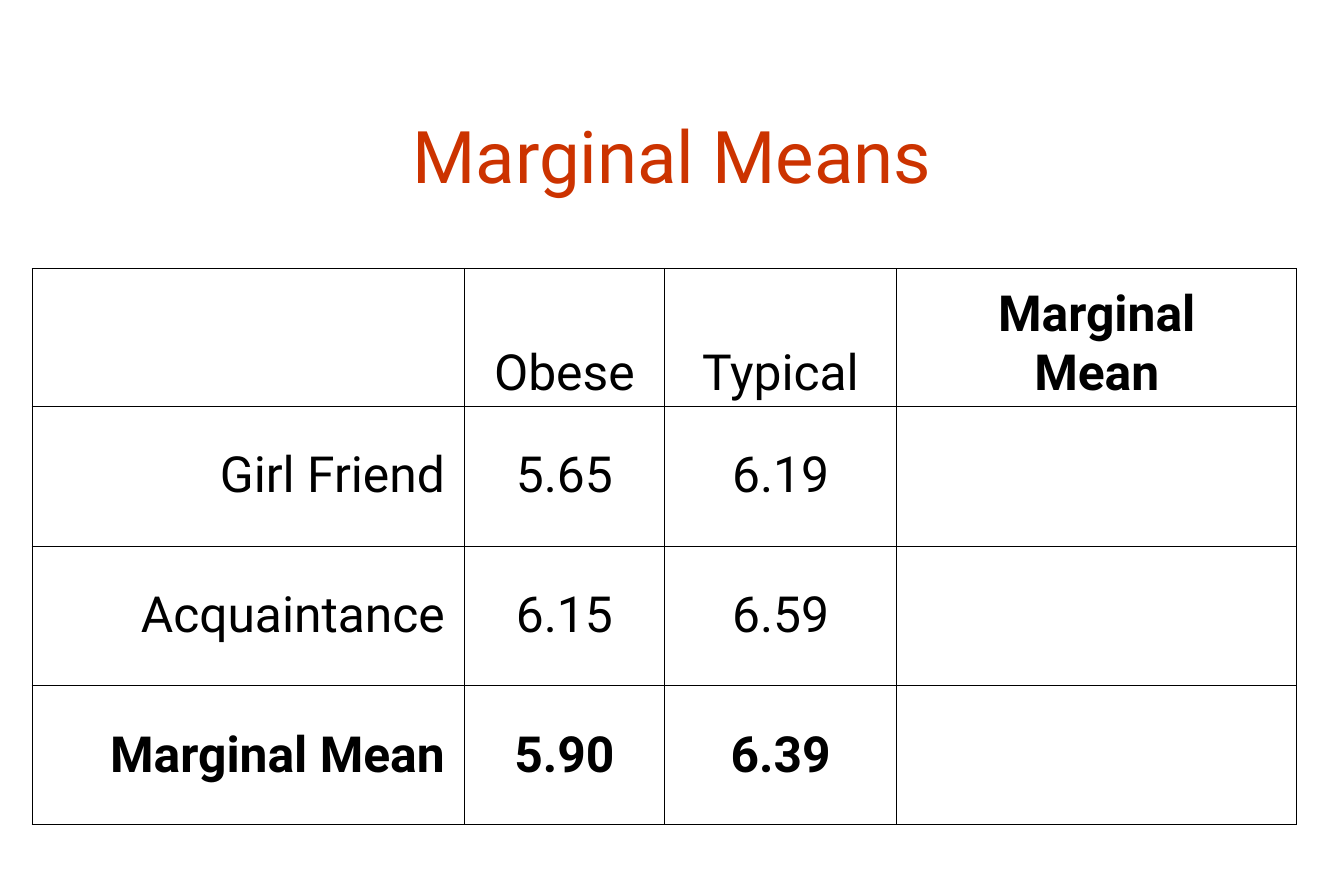
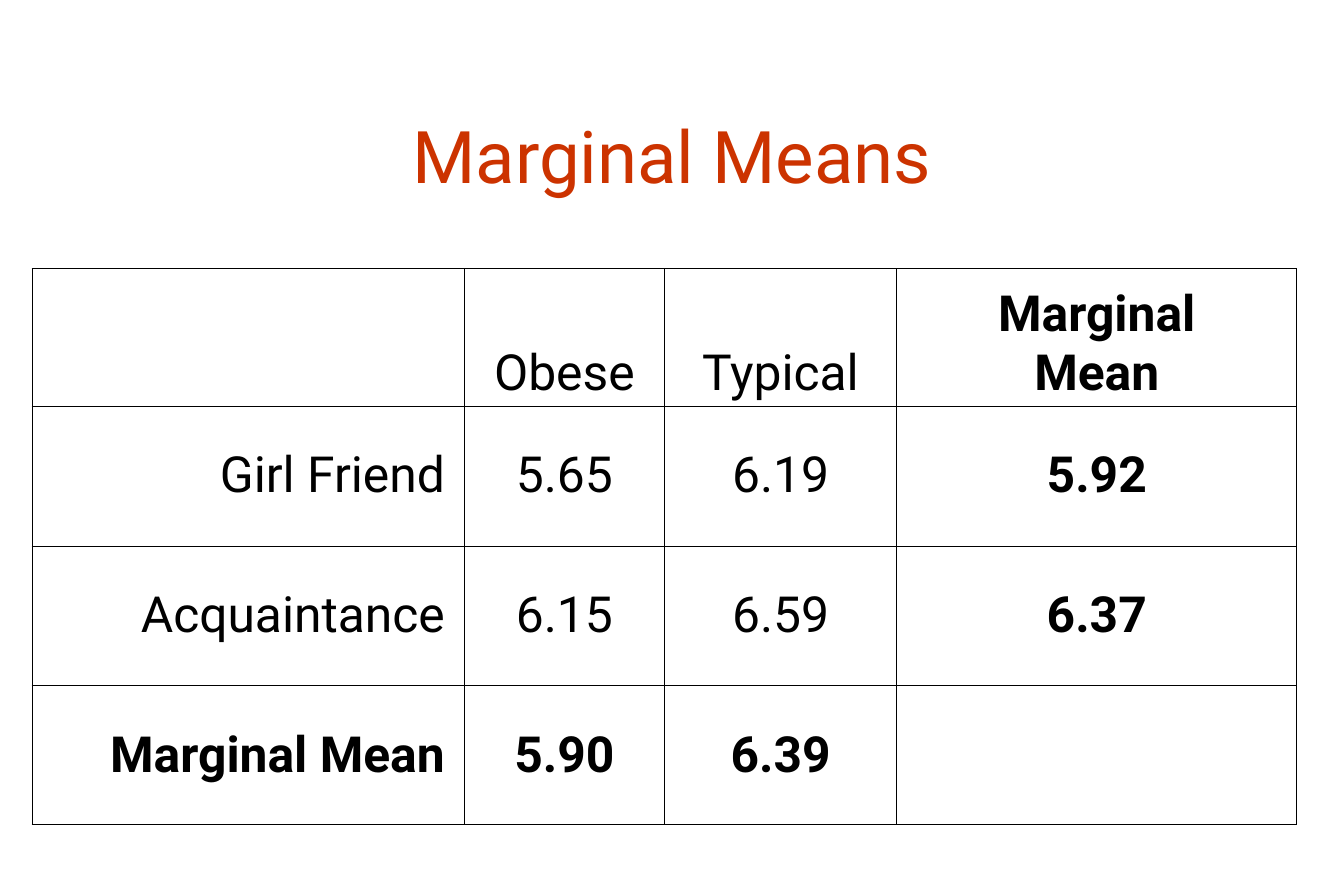
from dataclasses import dataclass

from pptx import Presentation
from pptx.dml.color import RGBColor
from pptx.enum.text import MSO_ANCHOR, MSO_AUTO_SIZE, PP_ALIGN
from pptx.oxml.ns import qn
from pptx.util import Inches, Pt
from lxml.etree import SubElement


@dataclass(frozen=True)
class Theme:
    font: str = "Roboto"
    title_color: str = "CC3300"
    ink: str = "000000"
    title_size: int = 70
    cell_size: int = 48
    outer_line: float = 1.08
    inner_line: float = 0.45


THEME = Theme()
TITLE_LAYOUT = 5

# Boxes: left, top, width, height in inches
TITLE_BOX = (1.35, 1.07, 15.3, 2)
TABLE_BOX = (0.43, 3.6, 16.94, 7.45)
COLUMN_WIDTHS = (5.79, 2.68, 3.11, 5.36)
HEADER_HEIGHT = 1.84

HEADER = ("", "Obese", "Typical", "Marginal\nMean")
GROUPS = (
    ("Girl Friend", "5.65", "6.19"),
    ("Acquaintance", "6.15", "6.59"),
)
COLUMN_MEANS = ("Marginal Mean", "5.90", "6.39", "")


def style_paragraph(para, size, color, align, bold=False):
    para.alignment = align
    font = para.font
    font.name = THEME.font
    font.size = Pt(size)
    font.bold = bold
    font.color.rgb = RGBColor.from_string(color)


def add_title(page, text, box):
    title = page.shapes.title
    title.left, title.top, title.width, title.height = map(Inches, box)
    frame = title.text_frame
    frame.auto_size = MSO_AUTO_SIZE.NONE
    frame.word_wrap = True
    frame.vertical_anchor = MSO_ANCHOR.MIDDLE
    frame.margin_left = frame.margin_right = Inches(0.16)
    frame.margin_top = frame.margin_bottom = Inches(0.08)
    para = frame.paragraphs[0]
    para.text = text
    style_paragraph(para, THEME.title_size, THEME.title_color, PP_ALIGN.CENTER)


def set_borders(cell, outer_sides):
    """Rule all four sides, heavier on the edge of the table."""
    properties = cell._tc.get_or_add_tcPr()
    for side, is_outer in outer_sides.items():
        width = THEME.outer_line if is_outer else THEME.inner_line
        line = SubElement(properties, qn(f"a:ln{side}"), w=str(Pt(width)))
        fill = SubElement(line, qn("a:solidFill"))
        SubElement(fill, qn("a:srgbClr"), val=THEME.ink)


def fill_cell(cell, text, is_header, is_label, bold):
    cell.margin_left = cell.margin_right = Inches(0.26)
    cell.margin_top = cell.margin_bottom = Inches(0.05)
    cell.vertical_anchor = MSO_ANCHOR.BOTTOM if is_header else MSO_ANCHOR.MIDDLE
    para = cell.text_frame.paragraphs[0]
    para.text = text
    align = PP_ALIGN.RIGHT if is_label else PP_ALIGN.CENTER
    style_paragraph(para, THEME.cell_size, THEME.ink, align, bold)


def add_means_table(page, rows, box):
    left, top, width, height = box
    last_row, last_column = len(rows) - 1, len(COLUMN_WIDTHS) - 1
    table = page.shapes.add_table(
        len(rows), len(COLUMN_WIDTHS), *map(Inches, box)
    ).table
    table.first_row = table.horz_banding = False

    # Column widths share the box; body rows share the height below the header
    scale = width / sum(COLUMN_WIDTHS)
    for column, column_width in zip(table.columns, COLUMN_WIDTHS):
        column.width = Inches(column_width * scale)
    body_height = (height - HEADER_HEIGHT) / last_row
    for r, row in enumerate(table.rows):
        row.height = Inches(body_height if r else HEADER_HEIGHT)

    # Cells: the last row and column hold the bold marginal means
    for r, values in enumerate(rows):
        for c, text in enumerate(values):
            cell = table.cell(r, c)
            set_borders(cell, {"L": c == 0, "R": c == last_column,
                               "T": r == 0, "B": r == last_row})
            cell.fill.background()
            fill_cell(cell, text, is_header=r == 0, is_label=c == 0,
                      bold=r == last_row or c == last_column)


def add_means_page(deck, row_means):
    page = deck.slides.add_slide(deck.slide_layouts[TITLE_LAYOUT])
    add_title(page, "Marginal Means", TITLE_BOX)
    body = [(*group, mean) for group, mean in zip(GROUPS, row_means)]
    add_means_table(page, [HEADER, *body, COLUMN_MEANS], TABLE_BOX)


def main():
    deck = Presentation()
    deck.slide_width, deck.slide_height = Inches(18), Inches(12)
    for row_means in (("", ""), ("5.92", "6.37")):
        add_means_page(deck, row_means)
    deck.save("out.pptx")


if __name__ == "__main__":
    main()
